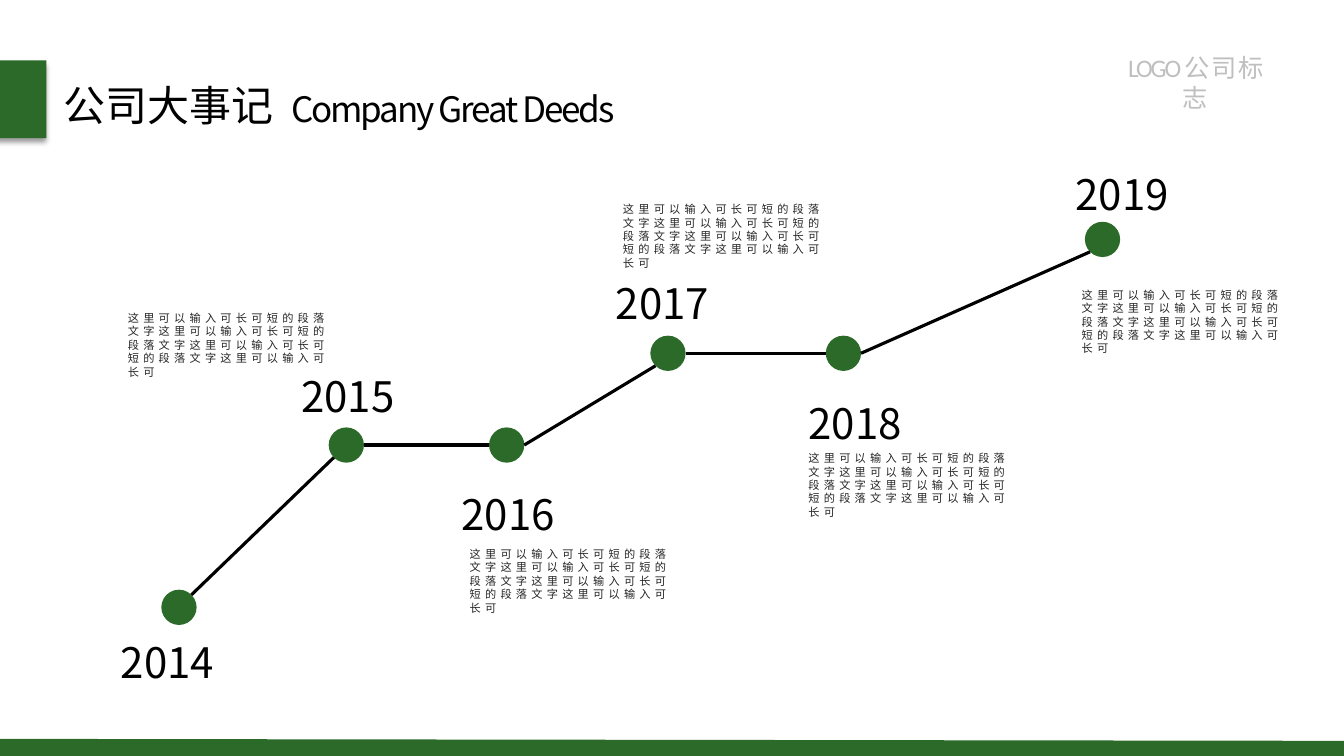
from math import cos, radians, sin

from lxml.etree import SubElement
from pptx import Presentation
from pptx.dml.color import RGBColor
from pptx.enum.shapes import MSO_CONNECTOR, MSO_SHAPE
from pptx.enum.text import MSO_AUTO_SIZE, PP_ALIGN
from pptx.oxml.ns import qn
from pptx.util import Inches, Pt

GREEN = "2B6A28"
BLACK = "000000"
CJK_FONT = "Noto Sans CJK SC"
DIAMETER = 0.35
STORY = "这里可以输入可长可短的段落文字" * 3 + "这里可以输入可长可"
MILESTONES = [
    ("2014", (1.6, 5.85), (1.1, 6.27), None),
    ("2015", (3.26, 4.24), (2.89, 3.63), (1.17, 3.04)),
    ("2016", (4.85, 4.24), (4.48, 4.8), (4.56, 5.38)),
    ("2017", (6.45, 3.33), (6.01, 2.7), (6.08, 1.96)),
    ("2018", (8.19, 3.33), (7.92, 3.89), (7.92, 4.43)),
    ("2019", (10.76, 2.2), (10.57, 1.62), (10.63, 2.81)),
]
LINK_ANGLES = [(-45, 135), (0, 180), (0, 135), (0, 180), (0, 135)]


def color(value):
    """Turn a hex string into a colour."""
    return RGBColor.from_string(value)


def paint(shape, fill):
    """Give a shape a plain fill without line or shadow."""
    shape.shadow.inherit = False
    shape.fill.solid()
    shape.fill.fore_color.rgb = color(fill)
    shape.line.fill.background()


def add_filled(page, kind, left, top, width, height):
    """Add a green preset shape."""
    shape = page.shapes.add_shape(kind, Inches(left), Inches(top), Inches(width), Inches(height))
    paint(shape, GREEN)
    return shape


def add_drop_shadow(shape):
    """Cast a soft shadow below a shape."""
    effects = shape._element.spPr.find(qn("a:effectLst"))
    shadow = SubElement(effects, qn("a:outerShdw"), blurRad=str(Pt(4)), dist=str(Pt(3)),
                        dir="5400000", algn="t", rotWithShape="0")
    tint = SubElement(shadow, qn("a:srgbClr"), val=BLACK)
    SubElement(tint, qn("a:alpha"), val="40000")


def add_text(page, text, place, size, fill=BLACK, font=CJK_FONT, spacing=0,
             align=PP_ALIGN.LEFT, wrap=True, insets=(0.1, 0.05)):
    """Add a text box with one paragraph."""
    box = page.shapes.add_textbox(*map(Inches, place))
    frame = box.text_frame
    frame.word_wrap = wrap
    frame.auto_size = MSO_AUTO_SIZE.SHAPE_TO_FIT_TEXT
    frame.margin_left = frame.margin_right = Inches(insets[0])
    frame.margin_top = frame.margin_bottom = Inches(insets[1])
    para = frame.paragraphs[0]
    para.text = text
    para.alignment = align
    para.font.size = Pt(size)
    para.font.color.rgb = color(fill)
    para.font.name = font
    defaults = para._p.pPr.find(qn("a:defRPr"))
    defaults.set("spc", str(int(spacing * 100)))
    SubElement(defaults, qn("a:ea"), typeface=font)


def rim_point(node, angle):
    """Find the point on a node's rim at an angle in degrees."""
    radius = DIAMETER / 2
    return (Inches(node[0] + radius + radius * cos(radians(angle))),
            Inches(node[1] + radius + radius * sin(radians(angle))))


def add_link(page, start, end, angles):
    """Draw a line from the rim of one node to the next."""
    link = page.shapes.add_connector(MSO_CONNECTOR.STRAIGHT, *rim_point(start, angles[0]),
                                     *rim_point(end, angles[1]))
    link.line.color.rgb = color(BLACK)
    link.line.width = Pt(2.25)
    SubElement(link._element.spPr, qn("a:effectLst"))


def add_timeline(page):
    """Draw the nodes, their links, years and stories."""
    nodes = [node for _, node, _, _ in MILESTONES]
    for node in nodes:
        add_filled(page, MSO_SHAPE.OVAL, *node, DIAMETER, DIAMETER)
    for start, end, angles in zip(nodes, nodes[1:], LINK_ANGLES):
        add_link(page, start, end, angles)
    for year, _, year_at, story_at in MILESTONES:
        add_text(page, year, (*year_at, 2.73, 0.61), 30)
        if story_at:
            add_text(page, STORY, (*story_at, 2.24, 0.77), 8, "262626", spacing=3)


def add_header(page):
    """Add the logo text, the titles and the green tab."""
    add_text(page, "LOGO 公 司 标 志", (10.95, 0.47, 1.8, 0.4), 18, "BFBFBF", "Calibri",
             spacing=-1.5, align=PP_ALIGN.CENTER)
    add_text(page, "Company Great Deeds", (2.84, 0.84, 3.47, 0.47), 25,
             spacing=-1.5, wrap=False, insets=(0.05, 0.03))
    add_text(page, "公司大事记", (0.52, 0.74, 2.31, 0.61), 30,
             align=PP_ALIGN.CENTER, wrap=False)
    add_drop_shadow(add_filled(page, MSO_SHAPE.RECTANGLE, -0.05, 0.6, 0.51, 0.77))


def add_footer(page):
    """Draw the slightly slanted band at the bottom."""
    outline = page.shapes.build_freeform(Inches(0), Inches(7.33), scale=1.0)
    corners = [(13.33, 7.35), (13.33, 7.51), (0, 7.52)]
    outline.add_line_segments([(Inches(x), Inches(y)) for x, y in corners], close=True)
    paint(outline.convert_to_shape(), GREEN)


def main():
    """Build and save the slide."""
    deck = Presentation()
    deck.slide_width = Inches(13.33)
    deck.slide_height = Inches(7.5)
    page = deck.slides.add_slide(deck.slide_layouts[6])
    add_timeline(page)
    add_header(page)
    add_footer(page)
    deck.save("out.pptx")


if __name__ == "__main__":
    main()
